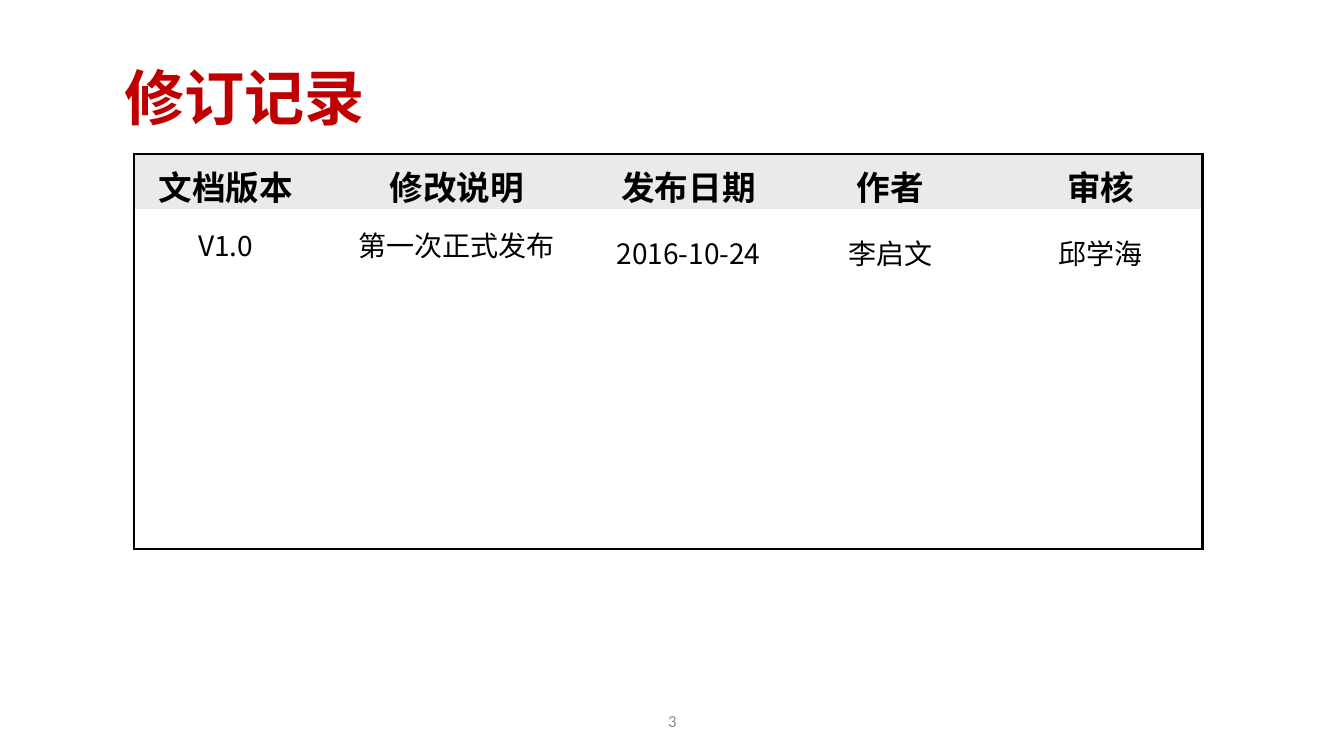
import pptx
import pptx.dml.color
import pptx.enum.text
import pptx.oxml.ns
import pptx.util
from lxml import etree

PX = 9144
BLACK = pptx.dml.color.RGBColor(0, 0, 0)
RED = pptx.dml.color.RGBColor(0xC0, 0, 0)
GRAY = pptx.dml.color.RGBColor(0x8C, 0x8C, 0x8C)
HEADER_FILL = pptx.dml.color.RGBColor(0xEA, 0xEA, 0xEA)
CJK_FONT = "Noto Sans CJK SC"
CENTER = pptx.enum.text.PP_ALIGN.CENTER
MIDDLE = pptx.enum.text.MSO_ANCHOR.MIDDLE
TOP = pptx.enum.text.MSO_ANCHOR.TOP

COLUMN_WIDTHS = [182, 276, 184, 216, 202]
ROW_HEIGHTS = [50, 71, 89, 89, 89]
TABLE_HEIGHT = 391
HEADERS = ["文档版本", "修改说明", "发布日期", "作者", "审核"]
REVISION = ["V1.0", "第一次正式发布", "2016-10-24", "李启文", "邱学海"]


def px(length):
    return pptx.util.Emu(length * PX)


def add_child(parent, tag, **attributes):
    return etree.SubElement(parent, pptx.oxml.ns.qn(tag), **attributes)


def set_margins(box, horizontal, vertical):
    box.margin_left = box.margin_right = px(horizontal)
    box.margin_top = box.margin_bottom = px(vertical)


def format_paragraph(paragraph, size, color, font_name=CJK_FONT, bold=False):
    for run in paragraph.runs:
        run.font.size = pptx.util.Pt(size)
        run.font.bold = bold
        run.font.color.rgb = color
        run.font.name = font_name
        add_child(run.font._element, "a:ea", typeface=font_name)


def add_text(slide, text, left, top, width, height, margins, anchor):
    shape = slide.shapes.add_textbox(px(left), px(top), px(width), px(height))
    frame = shape.text_frame
    frame.word_wrap = True
    frame.vertical_anchor = anchor
    set_margins(frame, *margins)
    frame.text = text
    return frame.paragraphs[0]


def set_borders(cell, visible_sides):
    properties = cell._tc.get_or_add_tcPr()
    for side in "LRTB":
        if side in visible_sides:
            line = add_child(properties, f"a:ln{side}", w=str(pptx.util.Pt(2)))
            fill = add_child(line, "a:solidFill")
            add_child(fill, "a:srgbClr", val=str(BLACK))
        else:
            line = add_child(properties, f"a:ln{side}", w="0")
            add_child(line, "a:noFill")


def outer_sides(row, column):
    edges = {
        "L": column == 0,
        "R": column == len(COLUMN_WIDTHS) - 1,
        "T": row == 0,
        "B": row == len(ROW_HEIGHTS) - 1,
    }
    return [side for side, is_edge in edges.items() if is_edge]


def fill_cell(cell, text, row, column):
    is_header = row == 0
    set_margins(cell, 13, 7)
    set_borders(cell, outer_sides(row, column))
    if is_header:
        cell.fill.solid()
        cell.fill.fore_color.rgb = HEADER_FILL
    else:
        cell.fill.background()
    if not text:
        return
    cell.vertical_anchor = TOP if is_header and column > 2 else MIDDLE
    cell.text_frame.text = text
    paragraph = cell.text_frame.paragraphs[0]
    paragraph.alignment = CENTER
    if not is_header and column > 1:
        paragraph.line_spacing = 1.4
    format_paragraph(paragraph, 24 if is_header else 20, BLACK, bold=is_header)


def add_revision_table(slide, left, top):
    graphic_frame = slide.shapes.add_table(
        len(ROW_HEIGHTS), len(COLUMN_WIDTHS),
        px(left), px(top), px(sum(COLUMN_WIDTHS)), px(TABLE_HEIGHT))
    table = graphic_frame.table
    table.first_row = False
    table.horz_banding = False
    for column, width in zip(table.columns, COLUMN_WIDTHS):
        column.width = px(width)
    for row, height in zip(table.rows, ROW_HEIGHTS):
        row.height = px(height)
    graphic_frame.height = px(TABLE_HEIGHT)

    blank_row = [""] * len(COLUMN_WIDTHS)
    contents = [HEADERS, REVISION, blank_row, blank_row, blank_row]
    for row, texts in enumerate(contents):
        for column, text in enumerate(texts):
            fill_cell(table.cell(row, column), text, row, column)


def main():
    presentation = pptx.Presentation()
    presentation.slide_width = px(1333)
    presentation.slide_height = px(750)
    slide = presentation.slides.add_slide(presentation.slide_layouts[6])

    title = add_text(slide, "修订记录", 110, 61, 1028, 72, (13, 7), TOP)
    title.line_spacing = 0.9
    format_paragraph(title, 43, RED, bold=True)

    add_revision_table(slide, 133, 153)

    page_number = add_text(slide, "3", 517, 695, 300, 40, (10, 5), MIDDLE)
    page_number.alignment = CENTER
    format_paragraph(page_number, 12, GRAY, "Calibri")

    presentation.save("out.pptx")


if __name__ == "__main__":
    main()
